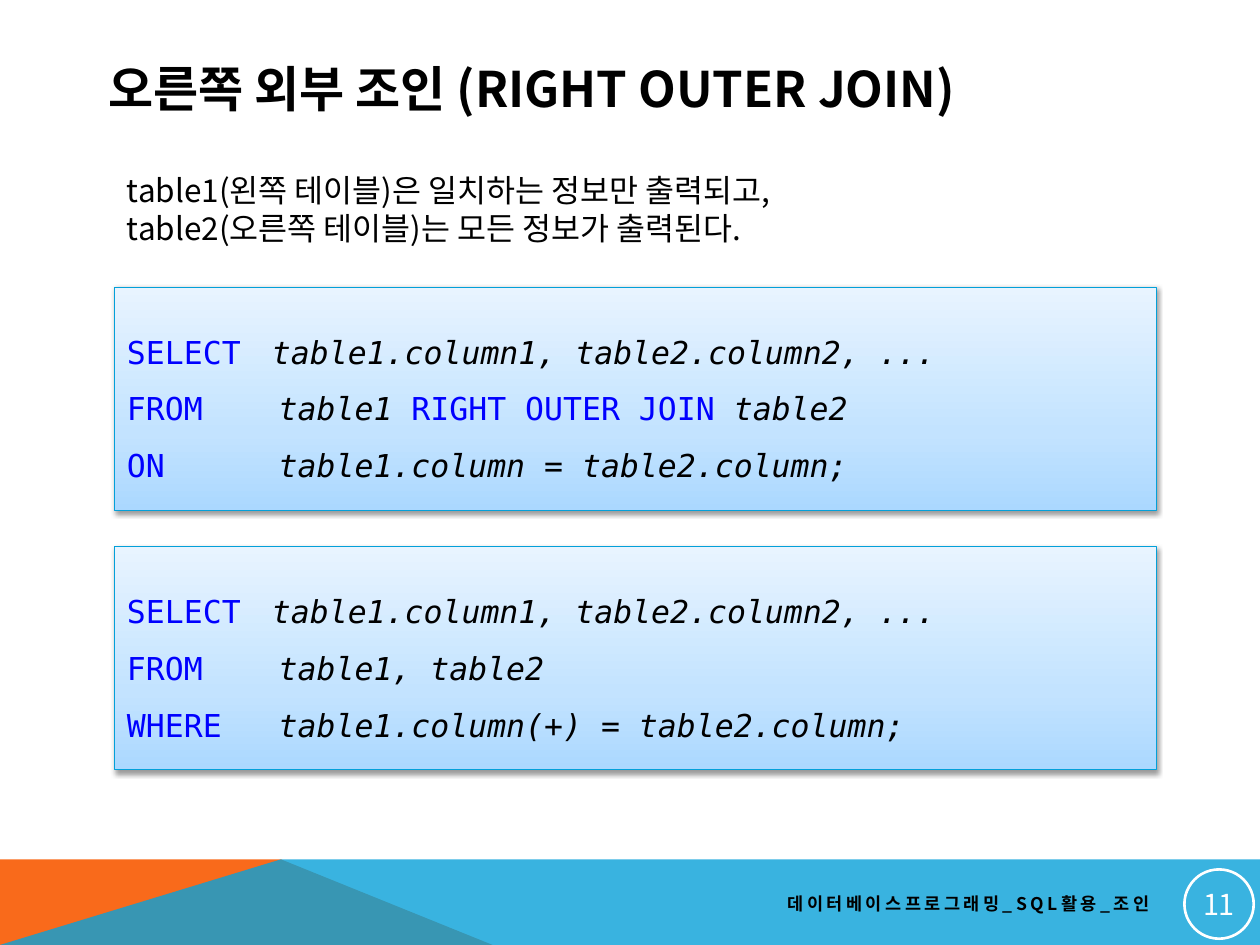
from copy import deepcopy
from dataclasses import dataclass

from lxml.etree import SubElement
from pptx import Presentation
from pptx.dml.color import RGBColor
from pptx.enum.shapes import MSO_SHAPE as Kind
from pptx.enum.text import MSO_ANCHOR as Anchor, MSO_AUTO_SIZE as Fit, PP_ALIGN as Align
from pptx.oxml.ns import qn
from pptx.util import Inches, Pt

BLACK = RGBColor(0x00, 0x00, 0x00)
WHITE = RGBColor(0xFF, 0xFF, 0xFF)
KEY = RGBColor(0x00, 0x00, 0xFF)
ORANGE = RGBColor(0xF9, 0x6A, 0x1B)
SKY = RGBColor(0x08, 0xA1, 0xD9)
EDGE = RGBColor(0x03, 0xA0, 0xD9)
SHADES = [
    (0, RGBColor(0xAB, 0xD8, 0xFF)),
    (0.35, RGBColor(0xC3, 0xE3, 0xFF)),
    (1, RGBColor(0xE8, 0xF4, 0xFF)),
]
SANS = "Noto Sans CJK KR"
MONO = "DejaVu Sans Mono"


@dataclass
class Part:
    text: str
    key: bool = False


@dataclass
class Query:
    top: float
    lines: list[list[Part]]


def place(shape, left: float, top: float, width: float, height: float) -> None:
    shape.left, shape.top = Inches(left), Inches(top)
    shape.width, shape.height = Inches(width), Inches(height)


def style(run, size: float, color: RGBColor, face: str = SANS, bold: bool = False) -> None:
    font = run.font
    font.size, font.name, font.bold = Pt(size), face, bold
    font.color.rgb = color
    east = SubElement(run._r.get_or_add_rPr(), qn("a:ea"))
    east.set("typeface", face)


def write(shape, text: str, size: float, color: RGBColor = BLACK,
          bold: bool = False, align=Align.LEFT, anchor=Anchor.MIDDLE) -> None:
    frame = shape.text_frame
    frame.vertical_anchor = anchor
    para = frame.paragraphs[0]
    para.text = text
    para.alignment = align
    for run in para.runs:
        style(run, size, color, bold=bold)


def band(slide, points: list[tuple[float, float]], color: RGBColor):
    pen = slide.shapes.build_freeform(
        Inches(points[0][0]), Inches(points[0][1]))
    pen.add_line_segments([(Inches(x), Inches(y)) for x, y in points[1:]], close=True)
    shape = pen.convert_to_shape()
    shape.shadow.inherit = False
    shape.fill.solid()
    shape.fill.fore_color.rgb = color
    shape.line.fill.background()
    return shape


def fade(color, percent: int) -> None:
    SubElement(color, qn("a:alpha")).set("val", str(percent * 1000))


def shade(shape) -> None:
    """Three-stop vertical gradient with a soft shadow below."""
    fill = shape.fill
    fill.gradient()
    fill.gradient_angle = 90
    first = shape._element.spPr.find(".//" + qn("a:gs"))
    first.addnext(deepcopy(first))
    for stop, (pos, color) in zip(fill.gradient_stops, SHADES):
        stop.position = pos
        stop.color.rgb = color
    shape.shadow.inherit = False
    effects = shape._element.spPr.find(qn("a:effectLst"))
    drop = SubElement(effects, qn("a:outerShdw"), blurRad=str(Pt(3.1)),
                      dist=str(Pt(1.6)), dir="5400000", rotWithShape="0")
    tint = SubElement(drop, qn("a:srgbClr"), val=str(BLACK))
    fade(tint, 38)


def draw(slide, query: Query) -> None:
    box = slide.shapes.add_shape(
        Kind.RECTANGLE, Inches(0.91), Inches(query.top), Inches(8.27), Inches(1.77))
    shade(box)
    box.line.color.rgb = EDGE
    box.line.width = Pt(0.75)
    frame = box.text_frame
    frame.word_wrap = True
    frame.vertical_anchor = Anchor.MIDDLE
    for i, line in enumerate(query.lines):
        para = frame.add_paragraph() if i else frame.paragraphs[0]
        para.alignment = Align.LEFT
        para.line_spacing = 1.5
        for part in line:
            run = para.add_run()
            run.text = part.text
            style(run, 18, KEY if part.key else BLACK, MONO)
            run.font.italic = not part.key


SELECT = [Part("SELECT\t ", True), Part("table1.column1, table2.column2, ...")]
QUERIES = [
    Query(2.28, [
        SELECT,
        [Part("FROM    ", True), Part("table1 "),
         Part("RIGHT OUTER JOIN ", True), Part("table2")],
        [Part("ON      ", True), Part("table1.column = table2.column;")],
    ]),
    Query(4.34, [
        SELECT,
        [Part("FROM    ", True), Part("table1, table2")],
        [Part("WHERE   ", True), Part("table1.column(+) = table2.column;")],
    ]),
]


def main() -> None:
    deck = Presentation()
    deck.slide_width, deck.slide_height = Inches(10), Inches(7.5)
    slide = deck.slides.add_slide(deck.slide_layouts[5])
    shapes = slide.shapes

    # Footer bands
    band(slide, [(0, 7.5), (0, 6.82), (2.23, 6.82), (3.91, 7.5)], ORANGE)
    sea = band(slide, [(0, 7.5), (2.23, 6.82), (10, 6.82), (10, 7.5)], SKY)
    fade(sea._element.spPr.find(".//" + qn("a:srgbClr")), 80)

    # Title
    place(shapes.title, 0.76, 0.4, 8.22, 0.6)
    write(shapes.title, "오른쪽 외부 조인 (RIGHT OUTER JOIN)", 28, bold=True)

    # Page number
    badge = shapes.add_shape(
        Kind.OVAL, Inches(9.4), Inches(6.9), Inches(0.55), Inches(0.55))
    badge.shadow.inherit = False
    badge.fill.background()
    badge.line.color.rgb = WHITE
    badge.line.width = Pt(1.5)
    frame = badge.text_frame
    frame.margin_left = frame.margin_right = Inches(0.01)
    frame.margin_top = frame.margin_bottom = Inches(0.01)
    write(badge, "11", 16.5, WHITE, align=Align.CENTER)

    # Footer text
    foot = shapes.add_textbox(Inches(3.58), Inches(7.02), Inches(5.64), Inches(0.3))
    foot.text_frame.word_wrap = True
    write(foot, "데이터베이스프로그래밍_SQL활용_조인", 10, bold=True, align=Align.RIGHT)
    foot.text_frame.paragraphs[0].runs[0].font._element.set("spc", "200")

    # Explanation
    note = shapes.add_textbox(Inches(0.91), Inches(1.31), Inches(5.86), Inches(0.71))
    note.text_frame.word_wrap = False
    note.text_frame.auto_size = Fit.SHAPE_TO_FIT_TEXT
    write(note, "table1(왼쪽 테이블)은 일치하는 정보만 출력되고, \v"
                "table2(오른쪽 테이블)는 모든 정보가 출력된다.", 18, anchor=Anchor.TOP)

    # Queries
    for query in QUERIES:
        draw(slide, query)

    deck.save("out.pptx")


if __name__ == "__main__":
    main()
